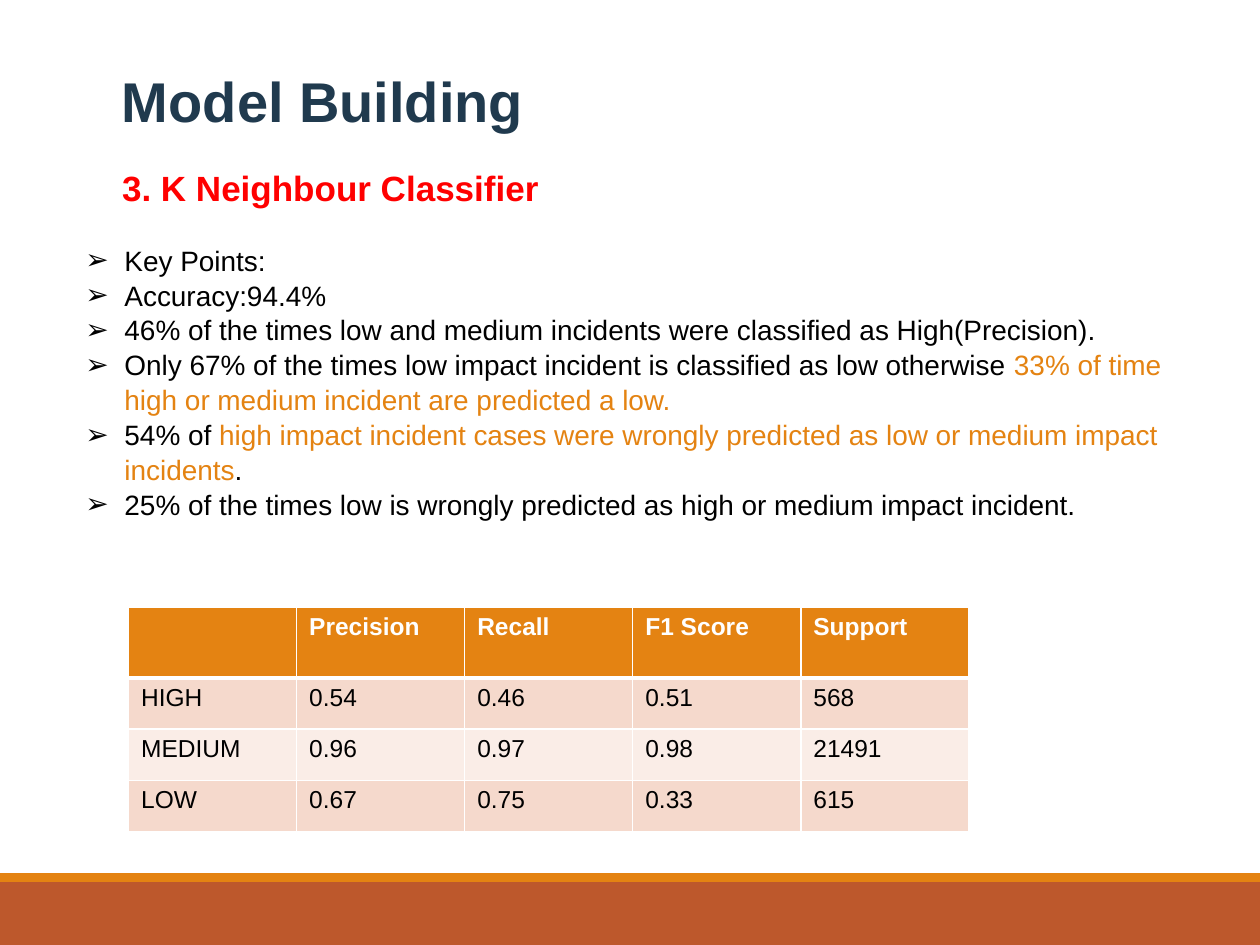
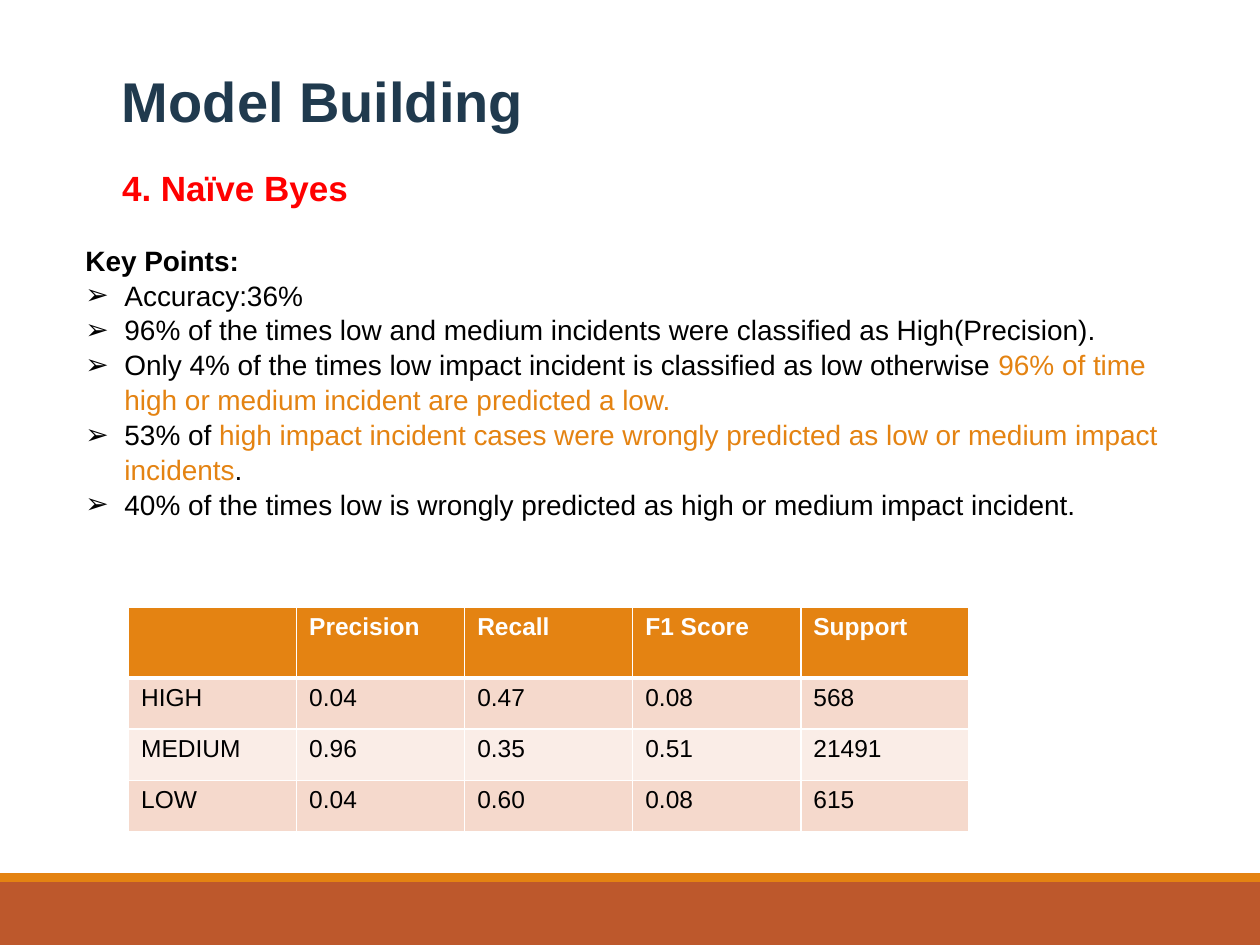
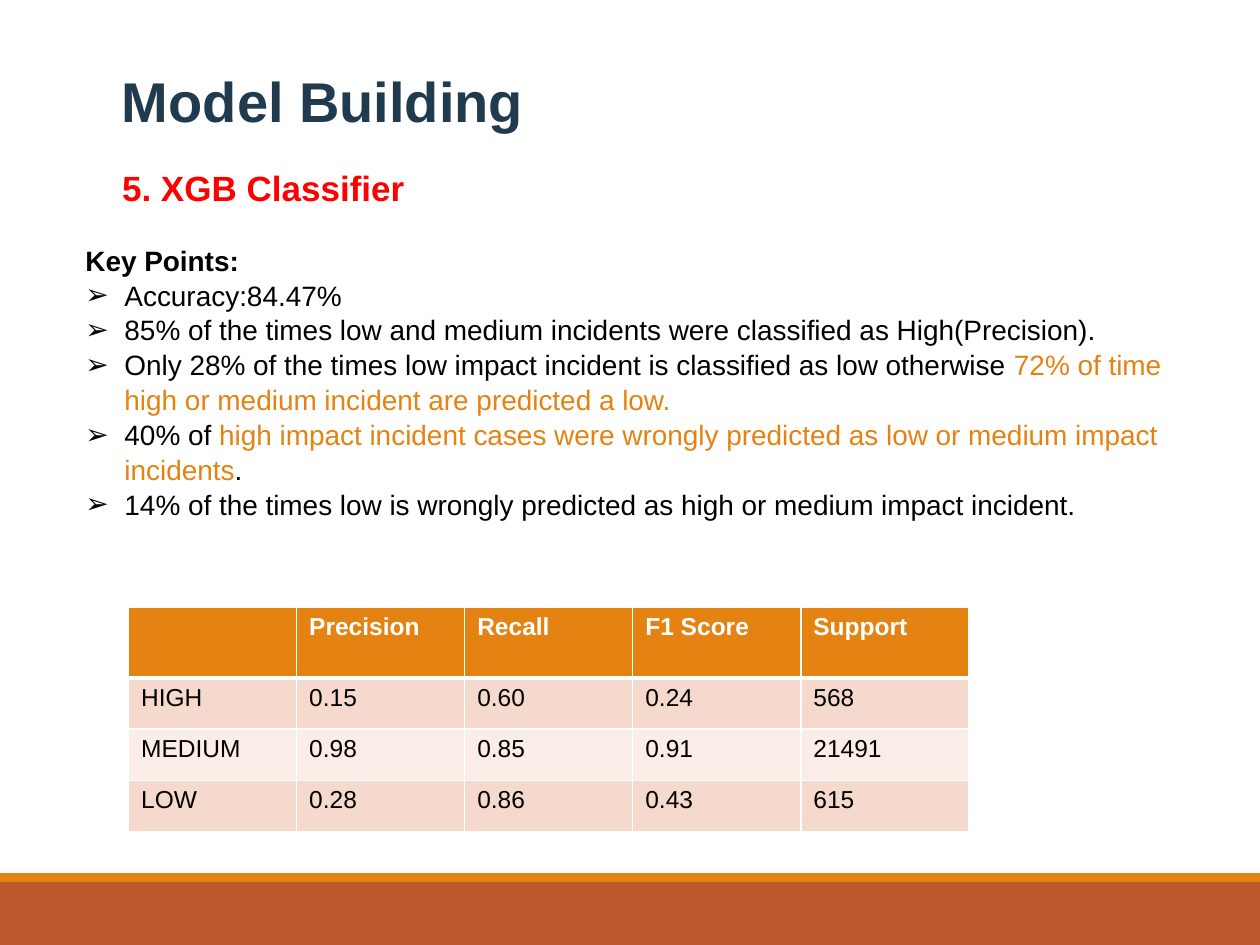
from lxml import etree
from pptx import Presentation
from pptx.dml.color import RGBColor
from pptx.enum import shapes
from pptx.oxml import ns
from pptx.util import Inches, Pt

FONT = "Arial"
NAVY = RGBColor(0x20, 0x3A, 0x4E)
RED = RGBColor(0xFF, 0x00, 0x00)
BLACK = RGBColor(0x00, 0x00, 0x00)
WHITE = RGBColor(0xFF, 0xFF, 0xFF)
ORANGE = RGBColor(0xE4, 0x83, 0x12)
RUST = RGBColor(0xBD, 0x58, 0x2C)
ROW_TINTS = (RGBColor(0xF5, 0xD9, 0xCC), RGBColor(0xFA, 0xED, 0xE7))

LINE_SPACING = 1.04
INDENT = Inches(0.31)
TABLE_WIDTH, TABLE_HEIGHT, HEADER_HEIGHT = 6.67, 1.78, 0.56
HEADERS = ("", "Precision", "Recall", "F1 Score", "Support")
SUPPORT = {"HIGH": "568", "MEDIUM": "21491", "LOW": "615"}

MODELS = (
    {
        "name": "3. K Neighbour Classifier",
        "bold_heading": False,
        "rates": ("94.4%", "46%", "67%", "33%", "54%", "25%"),
        "scores": (("0.54", "0.46", "0.51"), ("0.96", "0.97", "0.98"), ("0.67", "0.75", "0.33")),
    },
    {
        "name": "4. Naïve Byes",
        "bold_heading": True,
        "rates": ("36%", "96%", "4%", "96%", "53%", "40%"),
        "scores": (("0.04", "0.47", "0.08"), ("0.96", "0.35", "0.51"), ("0.04", "0.60", "0.08")),
    },
    {
        "name": "5. XGB Classifier",
        "bold_heading": True,
        "rates": ("84.47%", "85%", "28%", "72%", "40%", "14%"),
        "scores": (("0.15", "0.60", "0.24"), ("0.98", "0.85", "0.91"), ("0.28", "0.86", "0.43")),
    },
)


def style_run(run, size, color, bold=False):
    run.font.name = FONT
    run.font.size = Pt(size)
    run.font.color.rgb = color
    run.font.bold = bold


def add_band(slide, top, height, color):
    band = slide.shapes.add_shape(
        shapes.MSO_SHAPE.RECTANGLE, 0, Inches(top), Inches(10), Inches(height))
    band.shadow.inherit = False
    band.fill.solid()
    band.fill.fore_color.rgb = color
    band.line.fill.background()


def add_text_frame(slide, left, top, width, height):
    frame = slide.shapes.add_textbox(
        Inches(left), Inches(top), Inches(width), Inches(height)).text_frame
    frame.word_wrap = True
    return frame


def add_heading(slide, text, top, width, height, size, color):
    heading = add_text_frame(slide, 0.87, top, width, height).paragraphs[0]
    heading.text = text
    heading.line_spacing = LINE_SPACING
    style_run(heading.runs[0], size, color, bold=True)


def add_arrow_bullet(paragraph):
    properties = paragraph._p.get_or_add_pPr()
    properties.set("marL", str(INDENT))
    properties.set("indent", str(-INDENT))
    bullet_color = etree.SubElement(properties, ns.qn("a:buClr"))
    etree.SubElement(bullet_color, ns.qn("a:srgbClr"), val=str(BLACK))
    etree.SubElement(properties, ns.qn("a:buFont"), typeface=FONT)
    etree.SubElement(properties, ns.qn("a:buChar"), char="➢")


def add_key_points(slide, rates, bold_heading):
    accuracy, precision, low_right, low_wrong, high_missed, low_missed = rates
    points = (
        (("Key Points:", BLACK),),
        ((f"Accuracy:{accuracy}", BLACK),),
        ((f"{precision} of the times low and medium incidents were classified as High(Precision).", BLACK),),
        ((f"Only {low_right} of the times low impact incident is classified as low otherwise ", BLACK),
         (f"{low_wrong} of time high or medium incident are predicted a low.", ORANGE)),
        ((f"{high_missed} of ", BLACK),
         ("high impact incident cases were wrongly predicted as low or medium impact incidents", ORANGE),
         (".", BLACK)),
        ((f"{low_missed} of the times low is wrongly predicted as high or medium impact incident.", BLACK),),
    )
    frame = add_text_frame(slide, 0.58, 1.87, 8.94, 2.52)
    for index, point in enumerate(points):
        paragraph = frame.add_paragraph() if index else frame.paragraphs[0]
        paragraph.line_spacing = LINE_SPACING
        plain_heading = index == 0 and bold_heading
        if not plain_heading:
            add_arrow_bullet(paragraph)
        for text, color in point:
            run = paragraph.add_run()
            run.text = text
            style_run(run, 16, color, bold=plain_heading)


def add_border(cell, side, points):
    line = etree.Element(ns.qn(f"a:{side}"), w=str(Pt(points)))
    fill = etree.SubElement(line, ns.qn("a:solidFill"))
    etree.SubElement(fill, ns.qn("a:srgbClr"), val=str(WHITE))
    return line


def fill_cell(cell, text, fill, color, is_header, below_header):
    cell.text = text
    for run in cell.text_frame.paragraphs[0].runs:
        style_run(run, 14, color, bold=is_header)
    cell.fill.solid()
    cell.fill.fore_color.rgb = fill
    widths = {"lnL": 1, "lnR": 1, "lnT": 3 if below_header else 1, "lnB": 3 if is_header else 1}
    properties = cell._tc.get_or_add_tcPr()
    for position, (side, points) in enumerate(widths.items()):
        properties.insert(position, add_border(cell, side, points))


def add_score_table(slide, scores):
    rows = [HEADERS] + [
        (impact, *values, support)
        for (impact, support), values in zip(SUPPORT.items(), scores)]
    table = slide.shapes.add_table(
        len(rows), len(HEADERS), Inches(1.02), Inches(4.82),
        Inches(TABLE_WIDTH), Inches(TABLE_HEIGHT)).table
    for column in table.columns:
        column.width = Inches(TABLE_WIDTH / len(HEADERS))
    for r, values in enumerate(rows):
        is_header = r == 0
        body_height = (TABLE_HEIGHT - HEADER_HEIGHT) / len(SUPPORT)
        table.rows[r].height = Inches(HEADER_HEIGHT if is_header else body_height)
        fill = ORANGE if is_header else ROW_TINTS[(r - 1) % 2]
        for c, text in enumerate(values):
            fill_cell(table.cell(r, c), text, fill, WHITE if is_header else BLACK,
                      is_header, r == 1)


def add_model_slide(deck, model):
    slide = deck.slides.add_slide(deck.slide_layouts[6])
    add_band(slide, 7, 0.5, RUST)
    add_band(slide, 6.93, 0.07, ORANGE)
    add_heading(slide, "Model Building", 0.46, 5, 0.64, 32, NAVY)
    add_heading(slide, model["name"], 1.26, 5.69, 0.77, 20, RED)
    add_key_points(slide, model["rates"], model["bold_heading"])
    add_score_table(slide, model["scores"])


def main():
    deck = Presentation()
    deck.slide_width, deck.slide_height = Inches(10), Inches(7.5)
    for model in MODELS:
        add_model_slide(deck, model)
    deck.save("out.pptx")


if __name__ == "__main__":
    main()
